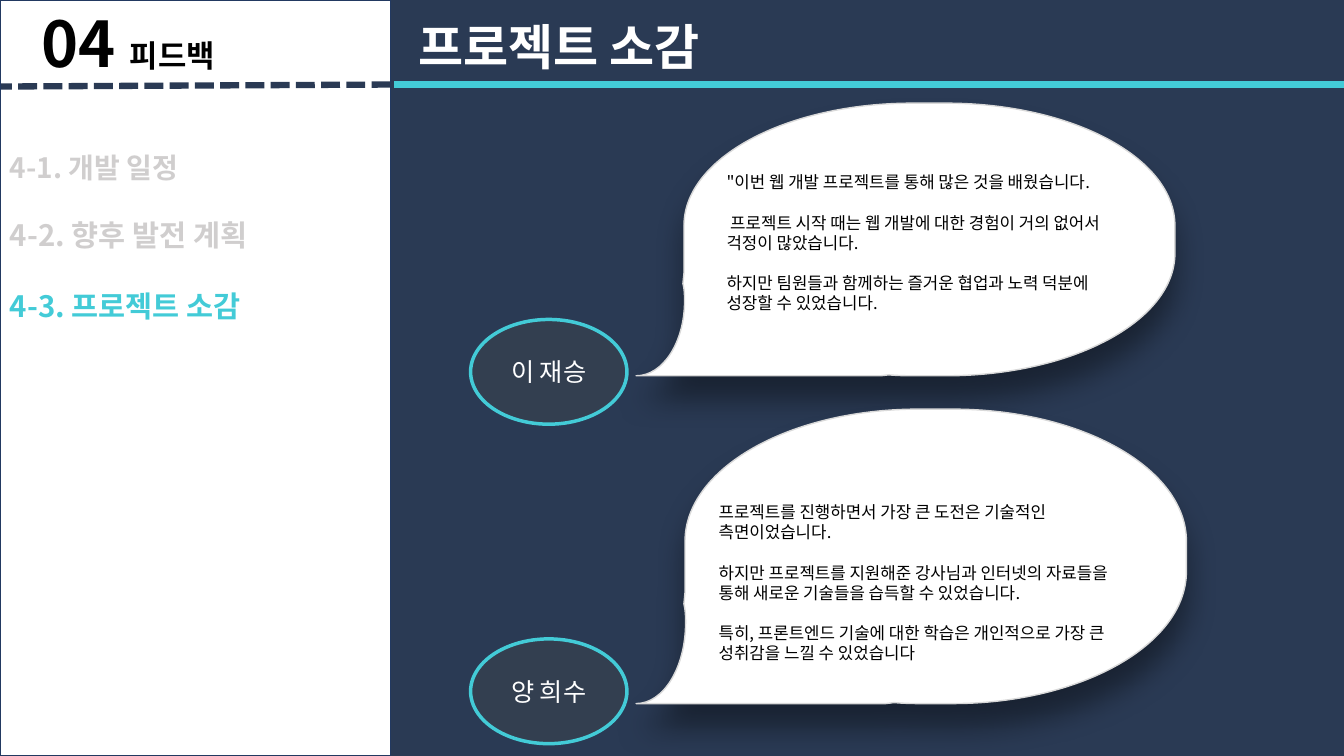
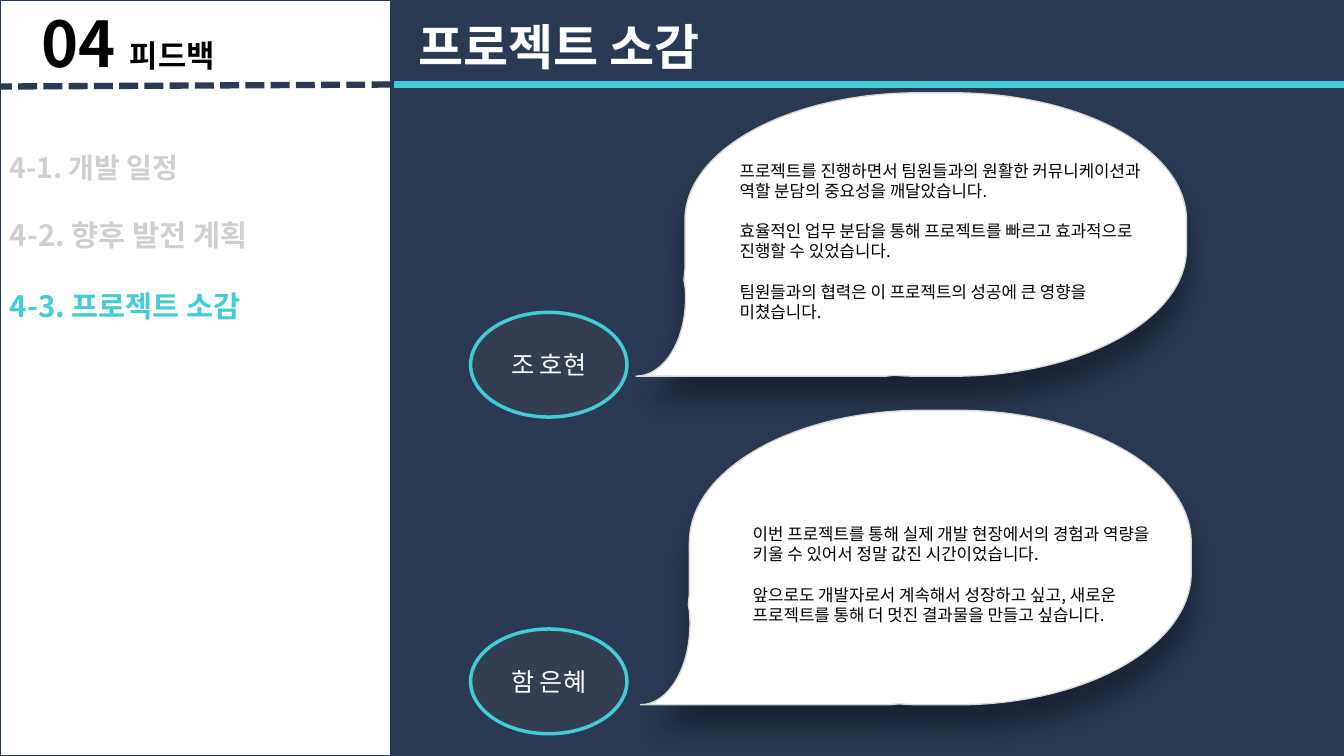
from collections import namedtuple

from lxml import etree
from pptx import Presentation
from pptx.dml.color import RGBColor
from pptx.enum import dml, shapes, text
from pptx.oxml import ns
from pptx.util import Cm, Pt

NAVY = RGBColor(0x2A, 0x3A, 0x54)
SIDEBAR_EDGE = RGBColor(0x22, 0x39, 0x61)
CYAN = RGBColor(0x43, 0xCB, 0xD7)
SLATE = RGBColor(0x33, 0x3F, 0x50)
MUTED = RGBColor(0xD0, 0xCE, 0xCE)
BUBBLE_EDGE = RGBColor(0xD9, 0xD9, 0xD9)
WHITE = RGBColor(0xFF, 0xFF, 0xFF)
BLACK = RGBColor(0, 0, 0)

FONT = "Noto Sans CJK KR"
WIDTH, HEIGHT = 33.87, 19.05
SIDEBAR_WIDTH = 9.84
RULE_TOP = 2.13

# Outlines: a pair is a line to a point, a sextuple a Bézier curve.
FRAME = [
    (0, 0), (33.87, 0), (33.87, 19.05), (32.66, 19.05), (32.66, 3.73), (32.66, 2.95),
    (32.66, 2.74, 32.49, 2.59, 32.31, 2.59), (1.57, 2.59),
    (1.37, 2.59, 1.22, 2.74, 1.22, 2.95), (1.22, 3.73), (1.22, 19.05), (0, 19.05),
]
# In percent of the bubble's width and height.
BUBBLE = [
    (51.3, 0), (57.5, 0), (81, 0, 100, 20.2, 100, 44.9), (100, 55.1),
    (100, 79.8, 81, 100, 57.5, 100), (51.3, 100),
    (49.8, 100, 48.4, 99.9, 47.1, 99.7), (46.7, 99.7), (46.3, 99.8),
    (46, 99.9, 45.7, 100, 45.4, 100), (0, 100),
    (5, 100, 9, 87.7, 9, 72.6), (9, 70.9, 9, 68.8, 8.8, 67.1),
    (8.7, 66.1), (8.9, 62.3), (8.9, 55.1), (8.9, 45.5), (8.9, 44.9),
    (8.9, 20.2, 27.8, 0, 51.3, 0),
]

# box is left, top, width, height; quote_at is relative to the box.
Feedback = namedtuple("Feedback", "name name_top box quote_at quote_height quote")
SLIDES = [
    [
        Feedback("이 재승", 8.05, (16.03, 2.6, 13.58, 6.87), (2.03, 1.61), 3.84, [
            '"이번 웹 개발 프로젝트를 통해 많은 것을 배웠습니다.',
            " 프로젝트 시작 때는 웹 개발에 대한 경험이 거의 없어서 걱정이 많았습니다.",
            "하지만 팀원들과 함께하는 즐거운 협업과 노력 덕분에 성장할 수 있었습니다.",
        ]),
        Feedback("양 희수", 16.1, (16.03, 10.31, 13.87, 7.42), (1.83, 2.21), 4.37, [
            "프로젝트를 진행하면서 가장 큰 도전은 기술적인 측면이었습니다.",
            "하지만 프로젝트를 지원해준 강사님과 인터넷의 자료들을 통해 새로운 기술들을 습득할 수 있었습니다.",
            "특히, 프론트엔드 기술에 대한 학습은 개인적으로 가장 큰 성취감을 느낄 수 있었습니다",
        ]),
    ],
    [
        Feedback("조 호현", 7.87, (16.03, 2.34, 13.87, 7.14), (2.36, 1.58), 4.37, [
            "프로젝트를 진행하면서 팀원들과의 원활한 커뮤니케이션과 역할 분담의 중요성을 깨달았습니다.",
            "효율적인 업무 분담을 통해 프로젝트를 빠르고 효과적으로 진행할 수 있었습니다.",
            "팀원들과의 협력은 이 프로젝트의 성공에 큰 영향을 미쳤습니다.",
        ]),
        Feedback("함 은혜", 15.85, (16.14, 10.34, 13.88, 7.42), (2.58, 2.74), 3.84, [
            "이번 프로젝트를 통해 실제 개발 현장에서의 경험과 역량을 키울 수 있어서 정말 값진 시간이었습니다.",
            "앞으로도 개발자로서 계속해서 성장하고 싶고, 새로운 프로젝트를 통해 더 멋진 결과물을 만들고 싶습니다.",
        ]),
    ],
]


def style_paragraph(paragraph, size, color, bold=False):
    font = paragraph.font
    font.name, font.size, font.bold = FONT, Pt(size), bold
    font.color.rgb = color


def paint(shape, fill, edge=None, edge_width=1):
    shape.shadow.inherit = False
    shape.fill.solid()
    shape.fill.fore_color.rgb = fill
    if edge is None:
        shape.line.fill.background()
    else:
        shape.line.color.rgb = edge
        shape.line.width = Pt(edge_width)


def add_box(slide, preset, box, fill, edge, edge_width=1):
    shape = slide.shapes.add_shape(preset, *map(Cm, box))
    paint(shape, fill, edge, edge_width)
    return shape


def add_text(slide, box):
    frame = slide.shapes.add_textbox(*map(Cm, box)).text_frame
    frame.word_wrap = True
    frame.auto_size = text.MSO_AUTO_SIZE.SHAPE_TO_FIT_TEXT
    return frame


def add_rule(slide, start, end, color, dash=None):
    rule = slide.shapes.add_connector(
        shapes.MSO_CONNECTOR.STRAIGHT, *map(Cm, start + end))
    rule.line.color.rgb = color
    rule.line.width = Pt(4.5)
    if dash is not None:
        rule.line.dash_style = dash
    etree.SubElement(rule._element.spPr, ns.qn("a:effectLst"))


def add_outline(slide, outline, left=0, top=0, x_unit=1, y_unit=1):
    """Draw the outline's corners, then bend the curved steps."""
    steps = [
        [(Cm(left + x * x_unit), Cm(top + y * y_unit)) for x, y in zip(step[::2], step[1::2])]
        for step in outline
    ]
    builder = slide.shapes.build_freeform(*steps[0][0])
    builder.add_line_segments([step[-1] for step in steps[1:]], close=True)
    shape = builder.convert_to_shape()
    lines = list(shape._element.iter(ns.qn("a:lnTo")))
    for line, step in zip(lines, steps[1:]):
        if len(step) == 3:
            curve = etree.Element(ns.qn("a:cubicBezTo"))
            for x, y in step:
                etree.SubElement(curve, ns.qn("a:pt"),
                                 x=str(x - shape.left), y=str(y - shape.top))
            line.getparent().replace(line, curve)
    return shape


def add_drop_shadow(shape):
    effects = shape._element.spPr.find(ns.qn("a:effectLst"))
    shadow = etree.SubElement(
        effects, ns.qn("a:outerShdw"), blurRad=str(Pt(21)), dist=str(Pt(16)),
        dir=str(90 * 60000), algn="t", rotWithShape="0")
    color = etree.SubElement(shadow, ns.qn("a:srgbClr"), val=str(BLACK))
    etree.SubElement(color, ns.qn("a:alpha"), val="40000")


def add_backdrop(slide):
    add_box(slide, shapes.MSO_SHAPE.RECTANGLE, (0.81, 2.06, 31.98, 16.99), NAVY, NAVY)
    paint(add_outline(slide, FRAME), NAVY)


def add_sidebar(slide):
    add_box(slide, shapes.MSO_SHAPE.RECTANGLE, (0, 0, SIDEBAR_WIDTH, HEIGHT),
            WHITE, SIDEBAR_EDGE)
    heading = add_text(slide, (0, 0, 6.45, RULE_TOP)).paragraphs[0]
    heading.alignment = text.PP_ALIGN.CENTER
    style_paragraph(heading, 45, BLACK, bold=True)
    for words, size in (("04 ", 45), ("피드백", 22)):
        run = heading.add_run()
        run.text = words
        run.font.size = Pt(size)

    menu = add_text(slide, (0, 3.66, 10.11, 4.65))
    entries = (
        ("4-1. 개발 일정", 20, MUTED, 0),
        ("4-2. 향후 발전 계획", 21, MUTED, 24),
        ("4-3. 프로젝트 소감", 21, CYAN, 25),
    )
    for i, (words, size, color, gap) in enumerate(entries):
        entry = menu.add_paragraph() if i else menu.paragraphs[0]
        entry.text = words
        entry.space_before = Pt(gap)
        style_paragraph(entry, size, color, bold=True)


def add_header(slide, words):
    add_rule(slide, (9.93, RULE_TOP), (WIDTH, RULE_TOP), CYAN)
    title = add_text(slide, (10.29, 0.28, 16.21, 1.75)).paragraphs[0]
    title.text = words
    style_paragraph(title, 35, WHITE, bold=True)
    add_rule(slide, (SIDEBAR_WIDTH, RULE_TOP), (0.03, 2.18), NAVY,
             dml.MSO_LINE.SQUARE_DOT)


def add_feedback(slide, feedback):
    """Place a speaker's name, the bubble and the quote inside it."""
    left, top, width, height = feedback.box
    bubble = add_outline(slide, BUBBLE, left, top, width / 100, height / 100)
    paint(bubble, WHITE, BUBBLE_EDGE)
    add_drop_shadow(bubble)

    speaker = add_box(slide, shapes.MSO_SHAPE.OVAL, (11.86, feedback.name_top, 3.94, 2.64),
                      SLATE, CYAN, 2.5)
    speaker.text_frame.vertical_anchor = text.MSO_ANCHOR.MIDDLE
    name = speaker.text_frame.paragraphs[0]
    name.text = feedback.name
    name.alignment = text.PP_ALIGN.CENTER
    style_paragraph(name, 18, WHITE)

    dx, dy = feedback.quote_at
    quote = add_text(slide, (left + dx, top + dy, 10.74, feedback.quote_height))
    for i, words in enumerate(feedback.quote):
        sentence = quote.add_paragraph() if i else quote.paragraphs[0]
        sentence.text = words
        sentence.space_before = Pt(14.4 if i else 0)
        style_paragraph(sentence, 12, BLACK)


def add_feedback_slide(deck, feedbacks):
    slide = deck.slides.add_slide(deck.slide_layouts[6])
    add_backdrop(slide)
    add_sidebar(slide)
    add_header(slide, "프로젝트 소감")
    for feedback in feedbacks:
        add_feedback(slide, feedback)


def main():
    deck = Presentation()
    deck.slide_width, deck.slide_height = Cm(WIDTH), Cm(HEIGHT)
    for feedbacks in SLIDES:
        add_feedback_slide(deck, feedbacks)
    deck.save("out.pptx")


if __name__ == "__main__":
    main()
